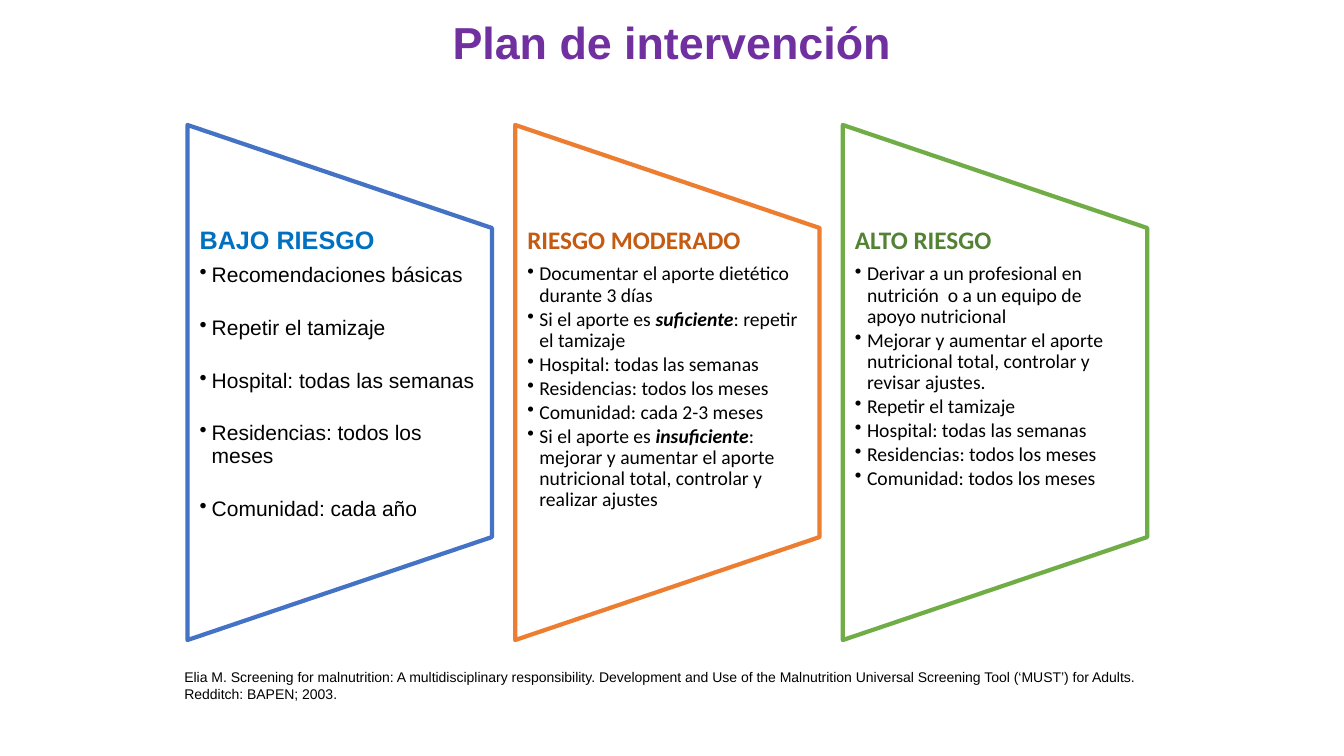
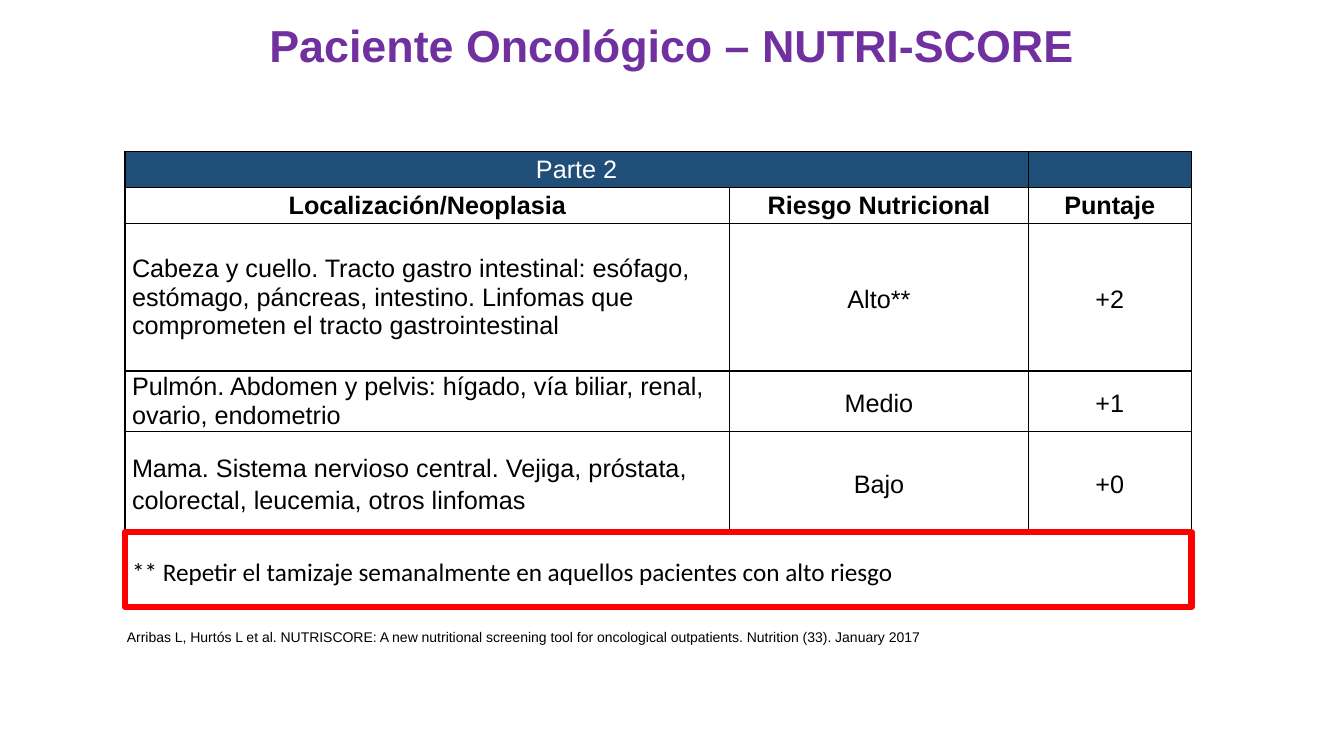
from lxml import etree
from pptx import Presentation
from pptx.dml.color import RGBColor
from pptx.enum.shapes import MSO_SHAPE
from pptx.enum.text import MSO_ANCHOR, MSO_AUTO_SIZE, PP_ALIGN
from pptx.oxml.ns import qn
from pptx.util import Inches, Pt

TRAP = MSO_SHAPE.FLOWCHART_MANUAL_OPERATION
RECT = MSO_SHAPE.RECTANGLE
TOP, MID = MSO_ANCHOR.TOP, MSO_ANCHOR.MIDDLE
LEFT, CENTER = PP_ALIGN.LEFT, PP_ALIGN.CENTER
NO_FIT = MSO_AUTO_SIZE.NONE

PURPLE = RGBColor(0x70, 0x30, 0xA0)
BLACK = RGBColor(0, 0, 0)
WHITE = RGBColor(0xFF, 0xFF, 0xFF)
RED = RGBColor(0xFF, 0, 0)
NAVY = RGBColor(0x1F, 0x4E, 0x79)
BLUE, AZURE = RGBColor(0x44, 0x72, 0xC4), RGBColor(0, 0x70, 0xC0)
ORANGE, RUST = RGBColor(0xED, 0x7D, 0x31), RGBColor(0xC5, 0x5A, 0x11)
GREEN, MOSS = RGBColor(0x70, 0xAD, 0x47), RGBColor(0x54, 0x82, 0x35)

# The slide is a grid of 100 columns by 100 rows
WIDTH, HEIGHT = Inches(13.33), Inches(7.5)

TITLE = dict(name="Arial", size=Pt(32), bold=True)
NOTE = dict(name="Arial", size=Pt(10))
CELL = dict(name="Arial", size=Pt(18))
INDENT = Inches(0.12)

# Heading, its colour, outline, font, item size, gap after items, items
PANELS = [
    ("BAJO RIESGO", AZURE, BLUE, "Arial", 15, 21.6, [
        "Recomendaciones básicas",
        "Repetir el tamizaje",
        "Hospital: todas las semanas",
        "Residencias: todos los meses",
        "Comunidad: cada año",
    ]),
    ("RIESGO MODERADO", RUST, ORANGE, "Calibri", 14, 2, [
        "Documentar el aporte dietético durante 3 días",
        "Si el aporte es |suficiente|: repetir el tamizaje",
        "Hospital: todas las semanas",
        "Residencias: todos los meses",
        "Comunidad: cada 2-3 meses",
        "Si el aporte es |insuficiente|: mejorar y aumentar el aporte "
        "nutricional total, controlar y realizar ajustes",
    ]),
    ("ALTO RIESGO", MOSS, GREEN, "Calibri", 14, 2, [
        "Derivar a un profesional en nutrición  o a un equipo de apoyo "
        "nutricional",
        "Mejorar y aumentar el aporte nutricional total, controlar y "
        "revisar ajustes.",
        "Repetir el tamizaje",
        "Hospital: todas las semanas",
        "Residencias: todos los meses",
        "Comunidad: todos los meses",
    ]),
]

SCORES = [
    ("Parte 2", "", ""),
    ("Localización/Neoplasia", "Riesgo Nutricional", "Puntaje"),
    ("Cabeza y cuello. Tracto gastro intestinal: esófago, estómago, "
     "páncreas, intestino. Linfomas que comprometen el tracto "
     "gastrointestinal", "Alto**", "+2"),
    ("Pulmón. Abdomen y pelvis: hígado, vía biliar, renal, ovario, "
     "endometrio", "Medio", "+1"),
    ("Mama. Sistema nervioso central. Vejiga, próstata, colorectal, "
     "leucemia, otros linfomas", "Bajo", "+0"),
    ("** Repetir el tamizaje semanalmente en aquellos pacientes con alto "
     "riesgo", "", ""),
]
COLS = [45, 22.2, 12.15]
ROWS = [4.8, 4.8, 19.47, 7.87, 13.47, 9.87]


def col(n):
    return int(WIDTH * n / 100)


def row(n):
    return int(HEIGHT * n / 100)


def area(left, top, wide, high):
    return col(left), row(top), col(wide), row(high)


def assign(obj, vals):
    for key, val in vals.items():
        setattr(obj, key, val)


def write(para, text, color, font, **form):
    """Fill a paragraph; text between bars is bold italic."""
    assign(para, form)
    for num, part in enumerate(text.split("|")):
        run = para.add_run()
        run.text = part
        assign(run.font, font)
        run.font.color.rgb = color
        if num % 2:
            assign(run.font, dict(bold=True, italic=True))


def bullet(para):
    props = para._p.get_or_add_pPr()
    props.set("marL", str(INDENT))
    props.set("indent", str(-INDENT))
    etree.SubElement(props, qn("a:buChar")).set("char", "•")


def add_page(deck, text, high):
    """Add a slide with its title band."""
    page = deck.slides.add_slide(deck.slide_layouts[5])
    title = page.shapes.title
    assign(title, dict(zip(("left", "top", "width", "height"),
                           area(0, 0, 100, high))))
    frame = title.text_frame
    assign(frame, dict(vertical_anchor=MID, auto_size=NO_FIT, word_wrap=True))
    write(frame.paragraphs[0], text, PURPLE, TITLE,
          alignment=CENTER, line_spacing=0.9)
    return page


def add_note(page, box, text):
    """Add the source line under the content."""
    note = page.shapes.add_textbox(*area(*box))
    note.fill.solid()
    note.fill.fore_color.rgb = WHITE
    note.text_frame.word_wrap = True
    write(note.text_frame.paragraphs[0], text, BLACK, NOTE)


def add_frame(page, kind, box, color, thick):
    """Add an unfilled outline."""
    shape = page.shapes.add_shape(kind, *box)
    shape.shadow.inherit = False
    shape.fill.background()
    shape.line.color.rgb = color
    shape.line.width = Pt(thick)
    return shape


def add_panel(page, box, panel):
    """Add a sideways trapezoid with a heading and a list."""
    head, tint, edge, face, size, gap, items = panel
    left, top, wide, high = area(*box)
    shift = (wide - high) // 2
    shape = add_frame(page, TRAP, (left + shift, top - shift, high, wide),
                      edge, 3)
    shape.rotation = 270

    # The text fills the middle three fifths
    text = page.shapes.add_textbox(left, top + high // 5, wide, high * 3 // 5)
    frame = text.text_frame
    assign(frame, dict(word_wrap=True, margin_left=INDENT,
                       margin_right=INDENT, margin_top=0, margin_bottom=0))
    write(frame.paragraphs[0], head, tint,
          dict(name=face, size=Pt(18), bold=True),
          line_spacing=0.9, space_after=Pt(6.3))
    for item in items:
        para = frame.add_paragraph()
        bullet(para)
        write(para, item, BLACK, dict(name=face, size=Pt(size)),
              line_spacing=0.9, space_after=Pt(gap))


def set_edges(cell):
    props = cell._tc.get_or_add_tcPr()
    for side in ("lnL", "lnR", "lnT", "lnB"):
        line = etree.SubElement(props, qn("a:" + side), w=str(Pt(1)))
        fill = etree.SubElement(line, qn("a:solidFill"))
        etree.SubElement(fill, qn("a:srgbClr"), val=str(BLACK))


def fill_cell(cell, r, c, text):
    """Format one cell by its row and column."""
    set_edges(cell)
    cell.fill.solid()
    cell.fill.fore_color.rgb = NAVY if r == 0 else WHITE
    side = Inches(0.07)
    assign(cell, dict(margin_left=side, margin_right=side, margin_top=0,
                      margin_bottom=0,
                      vertical_anchor=TOP if r < 2 else MID))
    if text:
        face = "Calibri" if r == len(ROWS) - 1 else "Arial"
        write(cell.text_frame.paragraphs[0], text,
              WHITE if r == 0 else BLACK,
              dict(CELL, name=face, bold=r == 1),
              alignment=LEFT if c == 0 and r > 1 else CENTER,
              line_spacing=1.0 if c == 0 and r in (2, 3) else 1.15)


def add_scores(page, left, top):
    """Add the score table and the red frame on its last row."""
    wide, high = sum(COLS), sum(ROWS)
    table = page.shapes.add_table(len(ROWS), len(COLS),
                                  *area(left, top, wide, high)).table
    assign(table, dict(first_row=False, horz_banding=False))
    for c, size in enumerate(COLS):
        table.columns[c].width = col(size)
    for r, size in enumerate(ROWS):
        table.rows[r].height = row(size)
        for c, text in enumerate(SCORES[r]):
            fill_cell(table.cell(r, c), r, c, text)
    table.cell(0, 0).merge(table.cell(0, 1))
    table.cell(5, 0).merge(table.cell(5, 2))
    last = ROWS[-1]
    add_frame(page, RECT, area(left, top + high - last, wide, last), RED, 4.5)


def main():
    deck = Presentation()
    assign(deck, dict(slide_width=WIDTH, slide_height=HEIGHT))

    # Plan by risk level
    page = add_page(deck, "Plan de intervención", 12)
    for num, panel in enumerate(PANELS):
        add_panel(page, (13.95 + 24.38 * num, 16.53, 22.65, 68.13), panel)
    add_note(page, (12.98, 87.73, 76.37, 5.87),
             "Elia M. Screening for malnutrition: A multidisciplinary "
             "responsibility. Development and Use of the Malnutrition "
             "Universal Screening Tool (‘MUST’) for Adults. "
             "Redditch: BAPEN; 2003.")

    # Score table
    page = add_page(deck, "Paciente Oncológico – NUTRI-SCORE", 12.6)
    add_note(page, (8.7, 82.53, 79.97, 3.6),
             "Arribas L, Hurtós L et al. NUTRISCORE: A new nutritional "
             "screening tool for oncological outpatients. Nutrition (33). "
             "January 2017")
    add_scores(page, 9.3, 20)
    deck.save("out.pptx")


if __name__ == "__main__":
    main()
